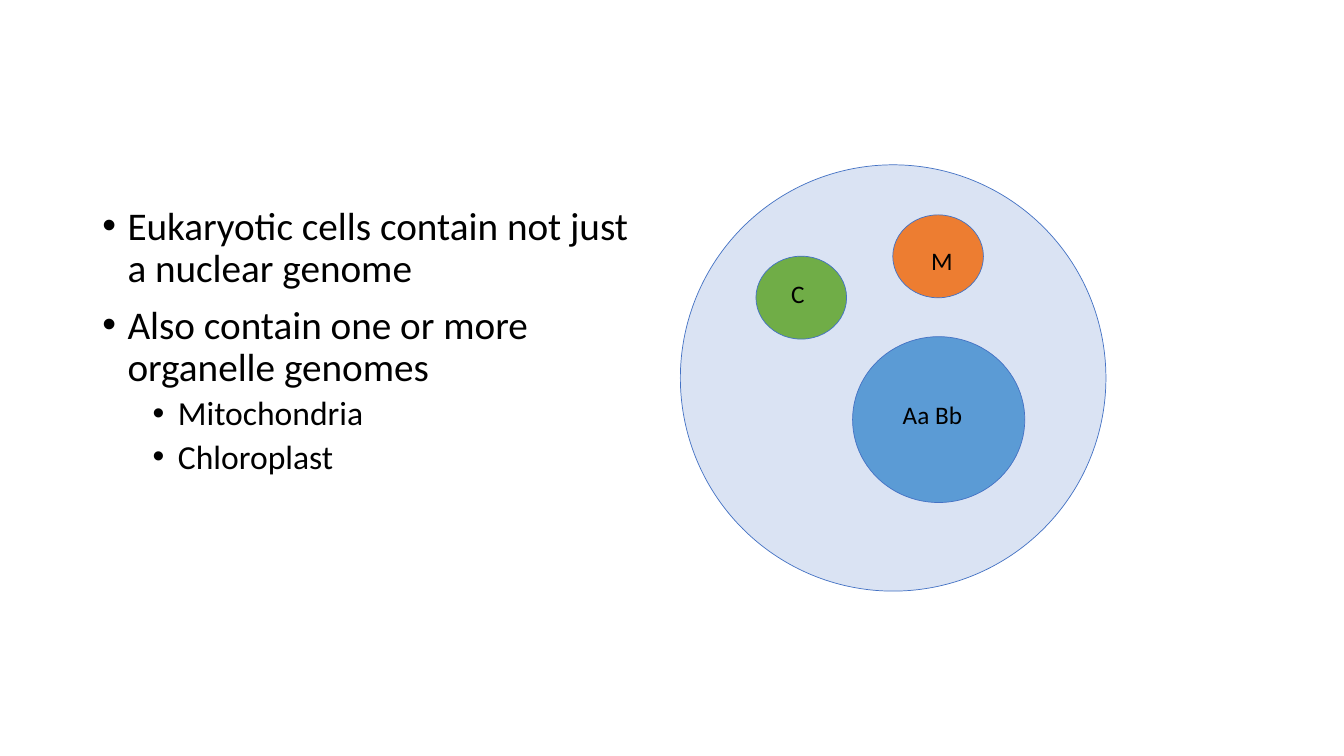
import pptx
import pptx.dml.color
import pptx.enum.shapes
import pptx.enum.text
import pptx.oxml
import pptx.oxml.ns
import pptx.util

Pt = pptx.util.Pt


def rgb(value):
    return pptx.dml.color.RGBColor.from_string(value)


class Deck:
    font = "Calibri"
    ink = "000000"
    outline = "4472C4"

    def __init__(self, prs):
        self.slide = prs.slides.add_slide(prs.slide_layouts[6])

    def ellipse(self, x, y, w, h, fill):
        sp = self.slide.shapes.add_shape(
            pptx.enum.shapes.MSO_SHAPE.OVAL, Pt(x), Pt(y), Pt(w), Pt(h))
        sp.shadow.inherit = False
        sp.fill.solid()
        sp.fill.fore_color.rgb = rgb(fill)
        sp.line.color.rgb = rgb(self.outline)
        sp.line.width = Pt(0.5)

    def style(self, p, size):
        for r in p.runs:
            r.font.name = self.font
            r.font.size = Pt(size)
            r.font.color.rgb = rgb(self.ink)

    def text_frame(self, x, y, w, h):
        sp = self.slide.shapes.add_textbox(Pt(x), Pt(y), Pt(w), Pt(h))
        tf = sp.text_frame
        tf.word_wrap = True
        return tf

    def label(self, x, y, w, text):
        tf = self.text_frame(x, y, w, 36)
        tf.text = text
        self.style(tf.paragraphs[0], 18)

    def bullets(self, x, y, w, h, items):
        tf = self.text_frame(x, y, w, h)
        for i, (level, text) in enumerate(items):
            p = tf.paragraphs[0] if i == 0 else tf.add_paragraph()
            p.text = text
            p.level = level
            p.line_spacing = 0.9
            p.space_before = Pt(0 if i == 0 else 10 - 5 * level)
            pPr = p._p.get_or_add_pPr()
            pPr.set("marL", str(Pt(18 + 36 * level)))
            pPr.set("indent", str(Pt(-18)))
            for tag, key, value in (("buFont", "typeface", "Arial"), ("buChar", "char", "•")):
                bullet = pptx.oxml.parse_xml(
                    f'<a:{tag} {pptx.oxml.ns.nsdecls("a")} {key}="{value}"/>')
                pPr.append(bullet)
            self.style(p, 28 - 4 * level)


def main():
    prs = pptx.Presentation()
    prs.slide_width = Pt(960)
    prs.slide_height = Pt(540)
    deck = Deck(prs)

    # Cell, nucleus, chloroplast and mitochondrion
    deck.ellipse(486, 117.75, 304, 304.5, "DAE3F3")
    deck.ellipse(609, 240.5, 123, 118.5, "5B9BD5")
    deck.ellipse(540, 183, 64.75, 59.25, "70AD47")
    deck.ellipse(637.75, 153.5, 64.75, 59.25, "ED7D31")

    # Genome labels
    deck.label(637.75, 281.5, 98, "Aa Bb")
    deck.label(558, 195, 36, "C")
    deck.label(658, 171.5, 36, "M")

    # Main points
    deck.bullets(66, 144, 408, 342.75, [
        (0, "Eukaryotic cells contain not just a nuclear genome"),
        (0, "Also contain one or more organelle genomes"),
        (1, "Mitochondria"),
        (1, "Chloroplast"),
    ])

    prs.save("out.pptx")


if __name__ == "__main__":
    main()
